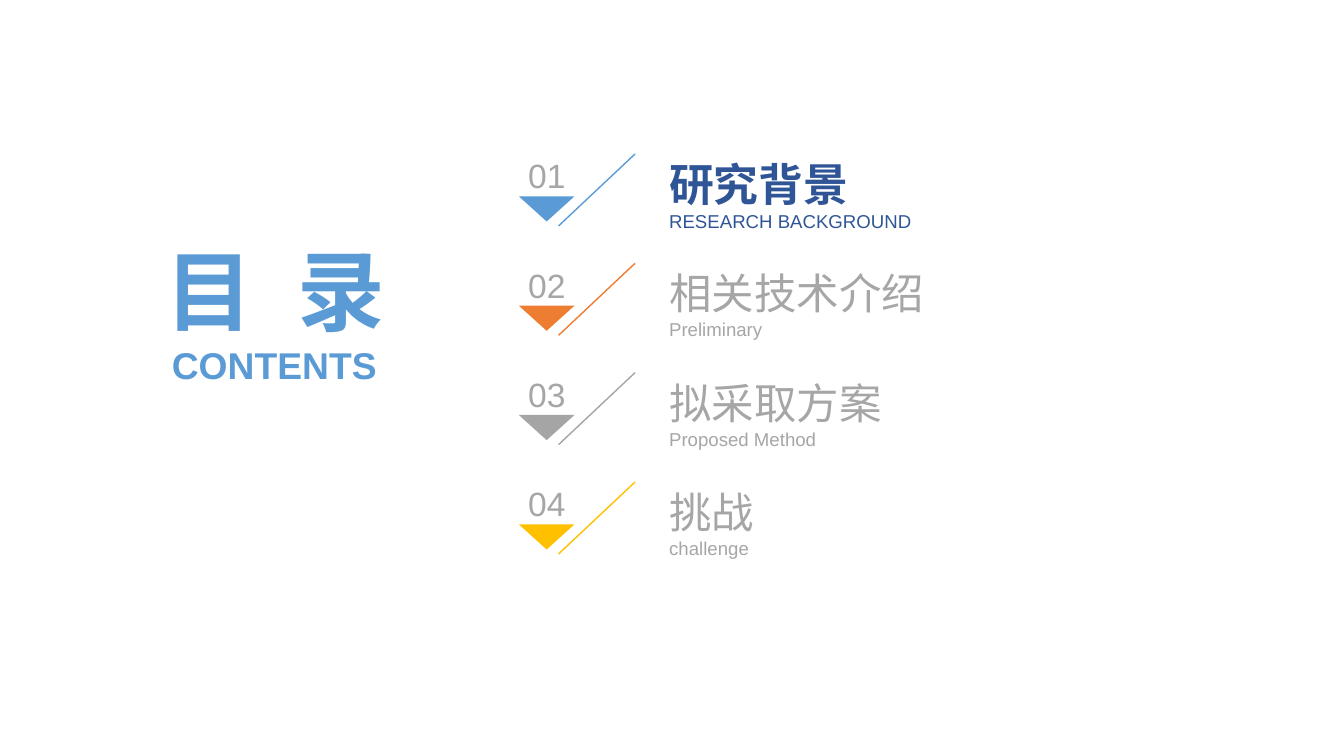
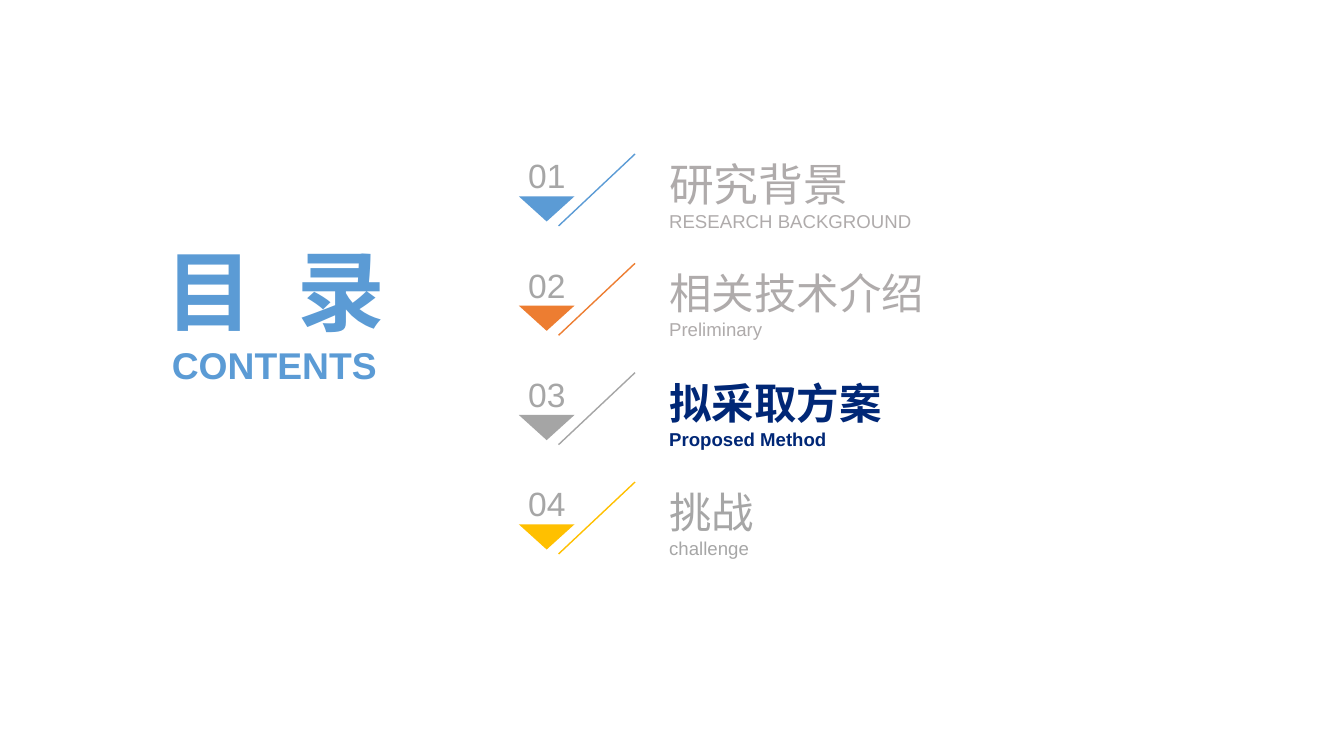
from lxml import etree
from pptx import Presentation
from pptx import util as u
from pptx.dml.color import RGBColor
from pptx.enum import shapes, text
from pptx.oxml import ns

# Content
HEADING = [("目 ", 8.7), ("录", 0)]  # text and letter spacing
SUBHEADING = "CONTENTS"
TOPICS = [
    ("研究背景", "RESEARCH BACKGROUND", "blue"),
    ("相关技术介绍", "Preliminary", "orange"),
    ("拟采取方案", "Proposed Method", "gray"),
    ("挑战", "challenge", "gold"),
]
# Per slide: one colour for each topic, and the bold (topic, line) pairs
AGENDAS = [
    (["royal", "muted", "muted", "muted"], {(0, 0)}),
    (["warm", "warm", "navy", "muted"], {(2, 0), (2, 1)}),
]

# Shared style
COLORS = {
    "blue": "5B9BD5", "orange": "ED7D31", "gray": "A5A5A5", "gold": "FFC000",
    "royal": "2F5597", "navy": "002776", "muted": "A6A6A6", "warm": "AFABAB",
}
LATIN, CJK = "Arial", "Noto Sans CJK SC"
PITCH = 78.1
LEFT, CENTER = text.PP_ALIGN.LEFT, text.PP_ALIGN.CENTER
TOP, MIDDLE, BOTTOM = (text.MSO_ANCHOR.TOP, text.MSO_ANCHOR.MIDDLE,
                       text.MSO_ANCHOR.BOTTOM)


def rgb(name):
    return RGBColor.from_string(COLORS[name])


def place(left, top, width, height):
    return [u.Pt(value) for value in (left, top, width, height)]


def add_text(parent, area, lines, color, align=LEFT, anchor=MIDDLE):
    """Each line is (spans, size, bold, font); a span is (text, spacing)."""
    frame = parent.add_textbox(*place(*area)).text_frame
    frame.word_wrap = True
    frame.auto_size = text.MSO_AUTO_SIZE.SHAPE_TO_FIT_TEXT
    frame.vertical_anchor = anchor
    frame.margin_left = frame.margin_right = 0
    frame.margin_top = frame.margin_bottom = 0
    for index, (spans, size, bold, font) in enumerate(lines):
        para = frame.add_paragraph() if index else frame.paragraphs[0]
        para.alignment = align
        for words, spacing in spans:
            span = para.add_run()
            span.text = words
            span.font.size, span.font.bold = u.Pt(size), bold
            span.font.name = font
            span.font.color.rgb = rgb(color)
            props = span.font._element
            east = etree.SubElement(props, ns.qn("a:ea"))
            east.set("typeface", CJK)
            if spacing:
                props.set("spc", str(round(spacing * 100)))


def add_marker(page, number, top, color):
    """Slanted line, down triangle and number of one topic."""
    group = page.shapes.add_group_shape().shapes
    line = group.add_connector(shapes.MSO_CONNECTOR.STRAIGHT,
                               u.Pt(453.6), u.Pt(top), u.Pt(399), u.Pt(top + 51.4))
    line.line.color.rgb, line.line.width = rgb(color), u.Pt(1)
    etree.SubElement(line._element.spPr, ns.qn("a:effectLst"))

    triangle = group.add_shape(shapes.MSO_SHAPE.FLOWCHART_MERGE,
                               *place(370.6, top + 30.2, 39.8, 18))
    triangle.shadow.inherit = False
    triangle.fill.solid()
    triangle.fill.fore_color.rgb = rgb(color)
    triangle.line.fill.background()

    add_text(group, (369.4, top + 1, 42.5, 28.8),
             [([(f"{number:02}", 0)], 24, False, LATIN)],
             "muted", align=CENTER, anchor=BOTTOM)


def add_agenda(deck, topic_colors, bold):
    page = deck.slides.add_slide(deck.slide_layouts[6])
    for index, (title, subtitle, accent) in enumerate(TOPICS):
        top = 110 + index * PITCH
        size, font = (30.3, LATIN) if index else (32, CJK)
        add_text(page.shapes, (478, top + 1.7, 418, 54.6),
                 [([(title, 0)], size, (index, 0) in bold, font),
                  ([(subtitle, 0)], 13.3, (index, 1) in bold, LATIN)],
                 topic_colors[index])
        add_marker(page, index + 1, top, accent)
    # Heading on the left
    add_text(page.shapes, (89.3, 169.2, 214.5, 75.6),
             [(HEADING, 62.6, True, LATIN)], "blue", align=CENTER)
    add_text(page.shapes, (89.8, 244.8, 212.4, 32.4),
             [([(SUBHEADING, 0)], 26.6, True, LATIN)],
             "blue", align=CENTER, anchor=TOP)


def main():
    deck = Presentation()
    deck.slide_width, deck.slide_height = u.Pt(960), u.Pt(540)
    for topic_colors, bold in AGENDAS:
        add_agenda(deck, topic_colors, bold)
    deck.save("out.pptx")


if __name__ == "__main__":
    main()
